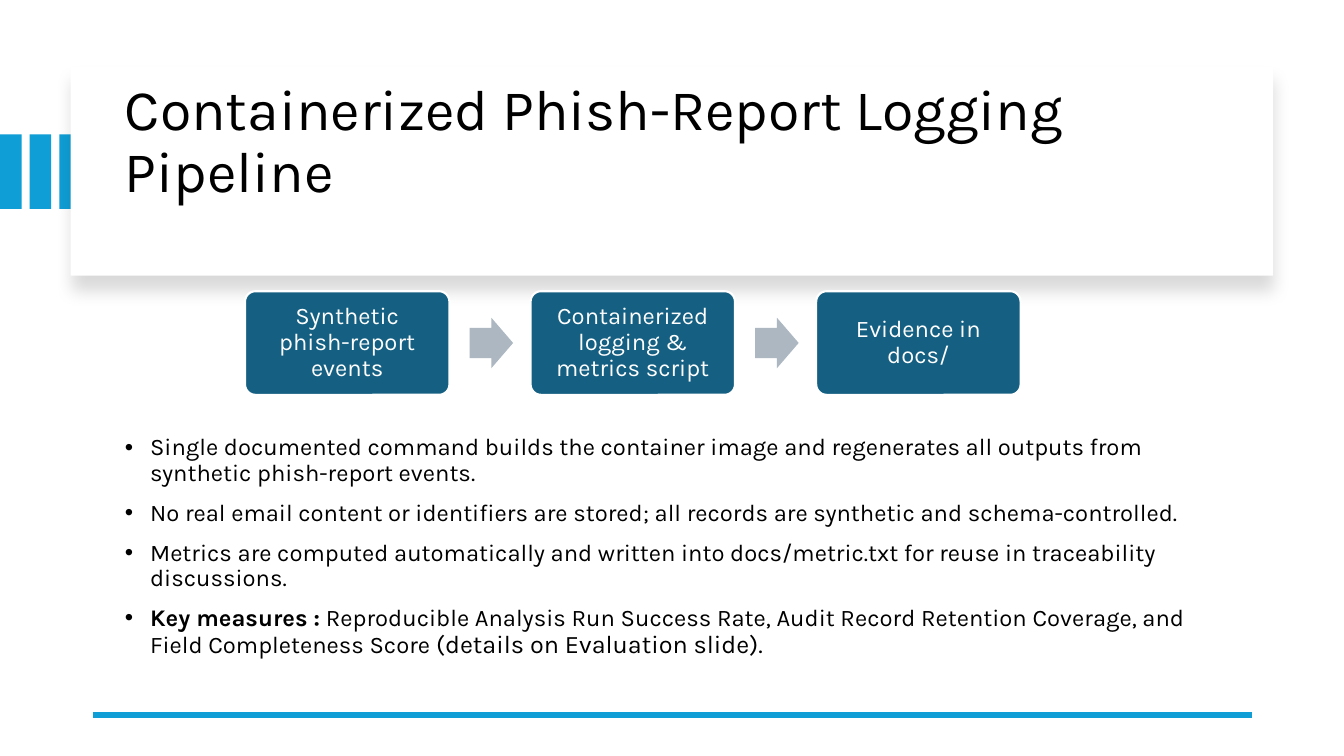
"""Build the slide on the containerized phish-report logging pipeline."""
from dataclasses import dataclass

from lxml.etree import SubElement
from pptx import Presentation
from pptx.dml.color import RGBColor
from pptx.enum.shapes import MSO_CONNECTOR, MSO_SHAPE
from pptx.enum.text import MSO_ANCHOR, MSO_AUTO_SIZE, PP_ALIGN
from pptx.oxml.ns import qn
from pptx.util import Pt

FONT = "Karla"
BLACK, WHITE, ACCENT, NODE, ARROW = "000000", "FFFFFF", "0F9ED5", "156082", "ACB7C1"
NODE_WIDTH, NODE_HEIGHT, NODE_STEP = 146, 74, 204


@dataclass(frozen=True)
class Area:
    left: float
    top: float
    width: float
    height: float


@dataclass(frozen=True)
class Span:
    text: str
    size: float = 17
    bold: bool = False


STEPS = (
    "Synthetic phish-report events",
    "Containerized logging & metrics script",
    "Evidence in docs/",
)
BULLETS = (
    (Span("Single documented command builds the container image and regenerates "
          "all outputs from synthetic phish-report events."),),
    (Span("No real email content or identifiers are stored; all records are "
          "synthetic and schema-controlled."),),
    (Span("Metrics are computed automatically and written into docs/metric.txt "
          "for reuse in traceability discussions."),),
    (Span("Key measures :", bold=True),
     Span(" Reproducible Analysis Run Success Rate, Audit Record Retention "
          "Coverage, and Field Completeness Score "),
     Span("(details on Evaluation slide).", size=18)),
)


def paint(color_format, color: str) -> None:
    color_format.rgb = RGBColor.from_string(color)


def place(shape, area: Area) -> None:
    shape.left, shape.top = Pt(area.left), Pt(area.top)
    shape.width, shape.height = Pt(area.width), Pt(area.height)


def add_block(page, kind, area: Area, fill: str):
    block = page.shapes.add_shape(
        kind, Pt(area.left), Pt(area.top), Pt(area.width), Pt(area.height))
    block.shadow.inherit = False
    block.fill.solid()
    paint(block.fill.fore_color, fill)
    block.line.fill.background()
    return block


def add_shadow(shape) -> None:
    effects = shape.element.spPr.find(qn("a:effectLst"))
    shadow = SubElement(effects, qn("a:outerShdw"), blurRad=str(Pt(11)),
                        dist=str(Pt(10)), dir="5400000", algn="t", rotWithShape="0")
    color = SubElement(shadow, qn("a:srgbClr"), val=BLACK)
    SubElement(color, qn("a:alpha"), val="15000")


def write(para, text: str, *, size: float = 17, color: str = BLACK,
          bold: bool = False, align=PP_ALIGN.LEFT, before: float = 0) -> None:
    para.alignment, para.line_spacing = align, 0.9
    para.space_before, para.space_after = Pt(before), Pt(0)
    span = para.add_run()
    span.text = text
    span.font.name, span.font.size, span.font.bold = FONT, Pt(size), bold
    paint(span.font.color, color)


def prepare_frame(shape, anchor, side: float = 7.2, edge: float = 0):
    frame = shape.text_frame
    frame.word_wrap, frame.auto_size = True, MSO_AUTO_SIZE.NONE
    frame.vertical_anchor = anchor
    frame.margin_left = frame.margin_right = Pt(side)
    frame.margin_top = frame.margin_bottom = Pt(edge)
    return frame


def add_header(page) -> None:
    for index in range(3):
        add_block(page, MSO_SHAPE.RECTANGLE, Area(21.2 * index, 96, 15.4, 53.3), ACCENT)
    card = add_block(page, MSO_SHAPE.RECTANGLE, Area(50.5, 48, 859, 149), WHITE)
    add_shadow(card)
    title = page.shapes.title
    title.element.getparent().append(title.element)
    place(title, Area(82, 58, 783, 128))
    frame = prepare_frame(title, MSO_ANCHOR.TOP)
    write(frame.paragraphs[0], "Containerized Phish-Report Logging Pipeline", size=41)


def add_bullets(page) -> None:
    body = page.placeholders[1]
    body.element.getparent().append(body.element)
    place(body, Area(82, 311, 783, 173))
    frame = prepare_frame(body, MSO_ANCHOR.TOP)
    for index, spans in enumerate(BULLETS):
        para = frame.add_paragraph() if index else frame.paragraphs[0]
        properties = para._p.get_or_add_pPr()
        properties.set("marL", str(Pt(18)))
        properties.set("indent", str(Pt(-18)))
        SubElement(properties, qn("a:buFont"), typeface="Arial")
        SubElement(properties, qn("a:buChar"), char="•")
        for span in spans:
            write(para, span.text, size=span.size, bold=span.bold,
                  before=10 if index else 0)


def add_footer_line(page) -> None:
    rule = page.shapes.add_connector(
        MSO_CONNECTOR.STRAIGHT, Pt(894.2), Pt(510.5), Pt(66.2), Pt(510.5))
    rule.line.width = Pt(4.5)
    paint(rule.line.color, ACCENT)
    SubElement(rule.element.spPr, qn("a:effectLst"))


def add_pipeline(page) -> None:
    for index, step in enumerate(STEPS):
        left = 175 + NODE_STEP * index
        node = add_block(page, MSO_SHAPE.ROUNDED_RECTANGLE,
                         Area(left, 208, NODE_WIDTH, NODE_HEIGHT), NODE)
        node.adjustments[0] = 0.1
        node.line.width = Pt(1.5)
        paint(node.line.color, WHITE)
        frame = prepare_frame(node, MSO_ANCHOR.MIDDLE, edge=7.2)
        write(frame.paragraphs[0], step, color=WHITE, align=PP_ALIGN.CENTER)
        if index < len(STEPS) - 1:
            arrow = add_block(page, MSO_SHAPE.RIGHT_ARROW,
                              Area(left + 160.5, 227, 31, 36), ARROW)
            arrow.adjustments[0] = 0.6


def main() -> None:
    deck = Presentation()
    deck.slide_width, deck.slide_height = Pt(960), Pt(540)
    page = deck.slides.add_slide(deck.slide_layouts[1])
    add_header(page)
    add_bullets(page)
    add_footer_line(page)
    add_pipeline(page)
    deck.save("out.pptx")


if __name__ == "__main__":
    main()
